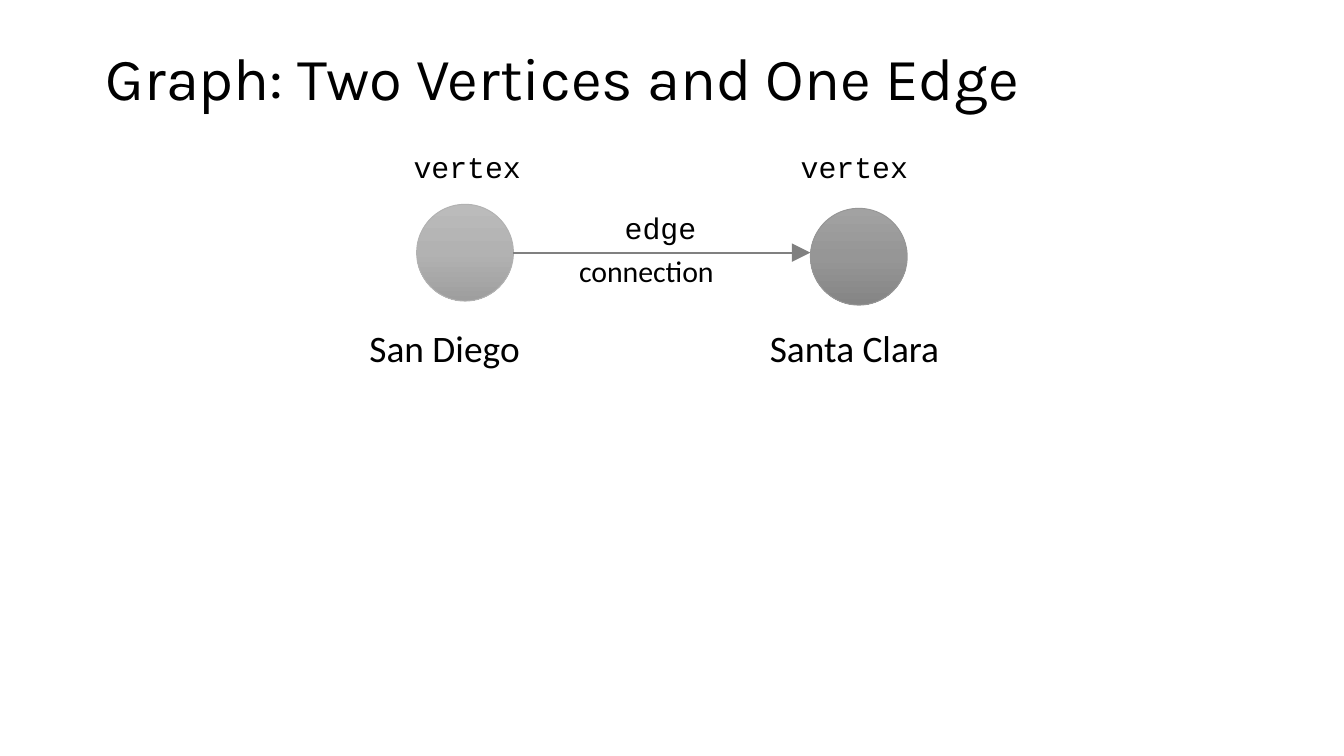
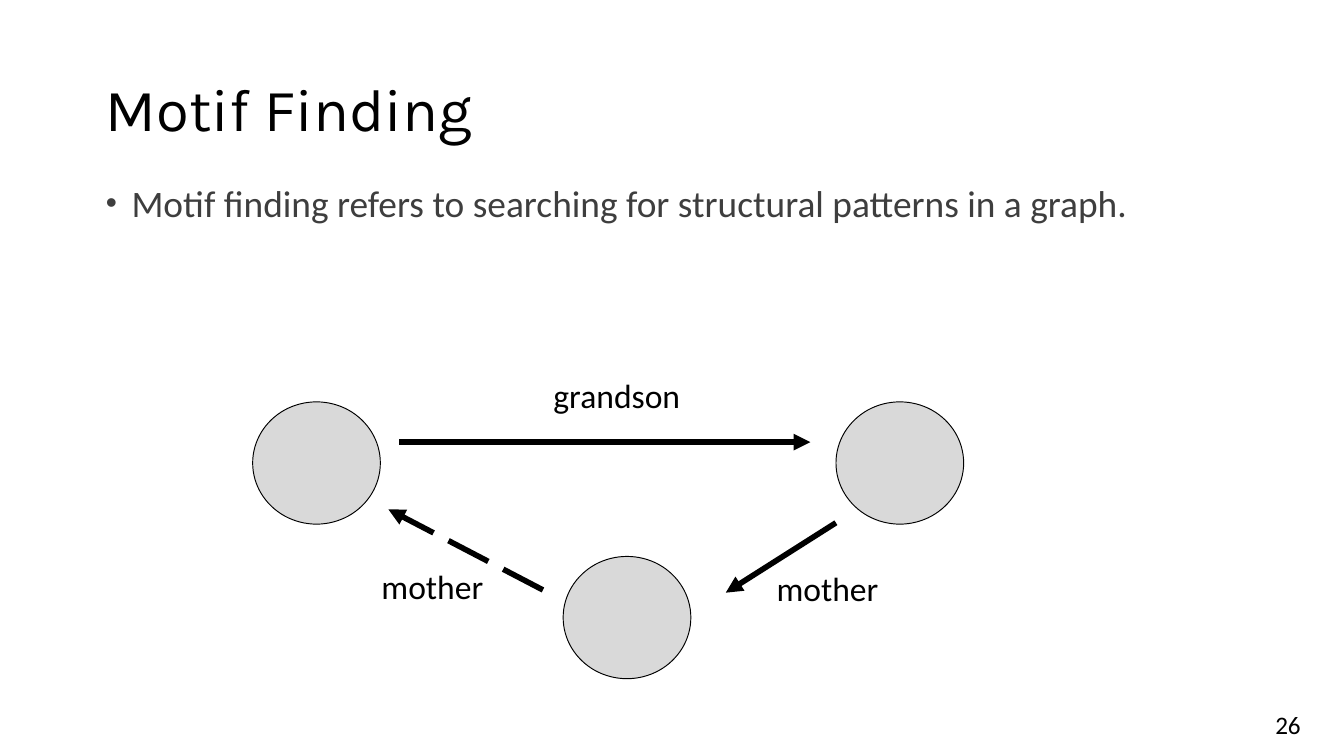
from copy import deepcopy

from lxml import etree
from pptx import Presentation
from pptx.dml.color import RGBColor
from pptx.enum.dml import MSO_LINE
from pptx.enum.shapes import MSO_CONNECTOR, MSO_SHAPE
from pptx.enum.text import MSO_ANCHOR
from pptx.oxml.ns import qn
from pptx.util import Inches, Pt

ELLIPSE = MSO_SHAPE.OVAL
STRAIGHT = MSO_CONNECTOR.STRAIGHT
LONG_DASH = MSO_LINE.LONG_DASH
TOP, BOTTOM = MSO_ANCHOR.TOP, MSO_ANCHOR.BOTTOM

COLORS = {
    "text": "000000",
    "body": "3E3E3E",
    "edge": "808080",
    "node": "D9D9D9",
    "light": "B2B2B2",
    "dark": "969696",
}
GRADIENTS = {
    "light": ("BBBBBB", COLORS["light"], "9E9E9E"),
    "dark": ("A2A2A2", COLORS["dark"], "858585"),
}
TITLE_FONT, BODY_FONT, CODE_FONT = "Karla", "Calibri", "Courier New"


def rgb(name):
    """Return the named colour."""
    return RGBColor.from_string(COLORS[name])


def add_text(page, text, left, top, width, height, size,
             font=BODY_FONT, color="text", anchor=TOP):
    """Add a one-paragraph text box and return its paragraph."""
    box = page.shapes.add_textbox(
        Inches(left), Inches(top), Inches(width), Inches(height))
    frame = box.text_frame
    frame.word_wrap = True
    frame.vertical_anchor = anchor
    para = frame.paragraphs[0]
    para.text = text
    para.font.name = font
    para.font.size = Pt(size)
    para.font.color.rgb = rgb(color)
    return para


def add_title(page, text, height):
    """Add the slide title, standing on the bottom of its box."""
    para = add_text(page, text, 0.69, 0.3, 8.62, height, 32, TITLE_FONT, anchor=BOTTOM)
    para.line_spacing = 0.9


def add_bullet(page, text):
    """Add the body text with a hanging bullet."""
    para = add_text(page, text, 0.69, 1.29, 8.62, 3.78, 20, color="body")
    para.space_before = Pt(7.5)
    properties = para._p.get_or_add_pPr()
    properties.set("marL", str(Inches(0.19)))
    properties.set("indent", str(Inches(-0.19)))
    etree.SubElement(properties, qn("a:buSzPct"), val="85000")
    etree.SubElement(properties, qn("a:buFont"), typeface="Arial")
    etree.SubElement(properties, qn("a:buChar"), char="•")
    properties.append(properties.find(qn("a:defRPr")))


def add_circle(page, left, top, width, height, line_color):
    """Add a thinly outlined ellipse for the caller to fill."""
    circle = page.shapes.add_shape(
        ELLIPSE, Inches(left), Inches(top), Inches(width), Inches(height))
    circle.shadow.inherit = False
    circle.line.color.rgb = rgb(line_color)
    circle.line.width = Pt(0.5)
    return circle


def add_vertex(page, left, top, shade):
    """Add a vertex with a three-stop vertical gradient."""
    fill = add_circle(page, left, top, 0.72, 0.72, shade).fill
    fill.gradient()
    fill.gradient_angle = 270
    first = fill.gradient_stops[0]._gs
    first.addnext(deepcopy(first))
    for index, (stop, color) in enumerate(zip(fill.gradient_stops, GRADIENTS[shade])):
        stop.position = index / 2
        stop.color.rgb = RGBColor.from_string(color)


def add_node(page, left, top):
    """Add a plain grey node of the motif."""
    fill = add_circle(page, left, top, 0.95, 0.91, "text").fill
    fill.solid()
    fill.fore_color.rgb = rgb("node")


def add_arrow(page, start, end, color="text", width=3, dash=None, head="med"):
    """Add a straight arrow from start to end."""
    arrow = page.shapes.add_connector(
        STRAIGHT, *(Inches(value) for value in (*start, *end)))
    line = arrow.line
    line.color.rgb = rgb(color)
    line.width = Pt(width)
    if dash is not None:
        line.dash_style = dash
    properties = arrow._element.spPr
    etree.SubElement(properties.find(qn("a:ln")), qn("a:tailEnd"),
                     type="triangle", w=head, len=head)
    etree.SubElement(properties, qn("a:effectLst"))


def build_graph(page):
    """Draw two cities joined by one edge."""
    add_vertex(page, 3.1, 1.52, "light")
    add_text(page, "San Diego", 2.65, 2.37, 1.78, 0.44, 20)
    add_arrow(page, (3.82, 1.88), (6.03, 1.88), "edge", 1, head="lg")
    add_vertex(page, 6.03, 1.55, "dark")
    add_text(page, "Santa Clara", 5.63, 2.37, 1.73, 0.44, 20)
    for left in (2.98, 5.86):
        add_text(page, "vertex", left, 1.06, 1.06, 0.37, 16, CODE_FONT)
    add_text(page, "edge", 4.55, 1.51, 0.76, 0.37, 16, CODE_FONT)
    add_text(page, "connection", 4.21, 1.83, 1.49, 0.37, 16)
    add_title(page, "Graph: Two Vertices and One Edge", 0.59)


def build_motif(page):
    """Draw the three-node family motif."""
    add_title(page, "Motif Finding", 0.82)
    add_bullet(page, "Motif finding refers to searching for structural patterns in a graph.")
    add_text(page, "26", 9.39, 5.23, 0.61, 0.3, 13.5)
    for left, top in ((1.88, 2.99), (6.22, 2.99), (4.19, 4.14)):
        add_node(page, left, top)
    add_arrow(page, (2.97, 3.29), (6.03, 3.29))
    add_arrow(page, (6.22, 3.89), (5.4, 4.41))
    add_arrow(page, (4.04, 4.39), (2.89, 3.79), dash=LONG_DASH)
    for label, left, top in (
            ("grandson", 4.02, 2.74), ("mother", 5.68, 4.18), ("mother", 2.74, 4.16)):
        add_text(page, label, left, top, 1.36, 0.4, 18)


def main():
    """Build and save the widescreen deck."""
    deck = Presentation()
    deck.slide_width = Inches(10)
    deck.slide_height = deck.slide_width * 9 // 16
    blank = deck.slide_layouts[6]
    for build in (build_graph, build_motif):
        build(deck.slides.add_slide(blank))
    deck.save("out.pptx")


if __name__ == "__main__":
    main()
